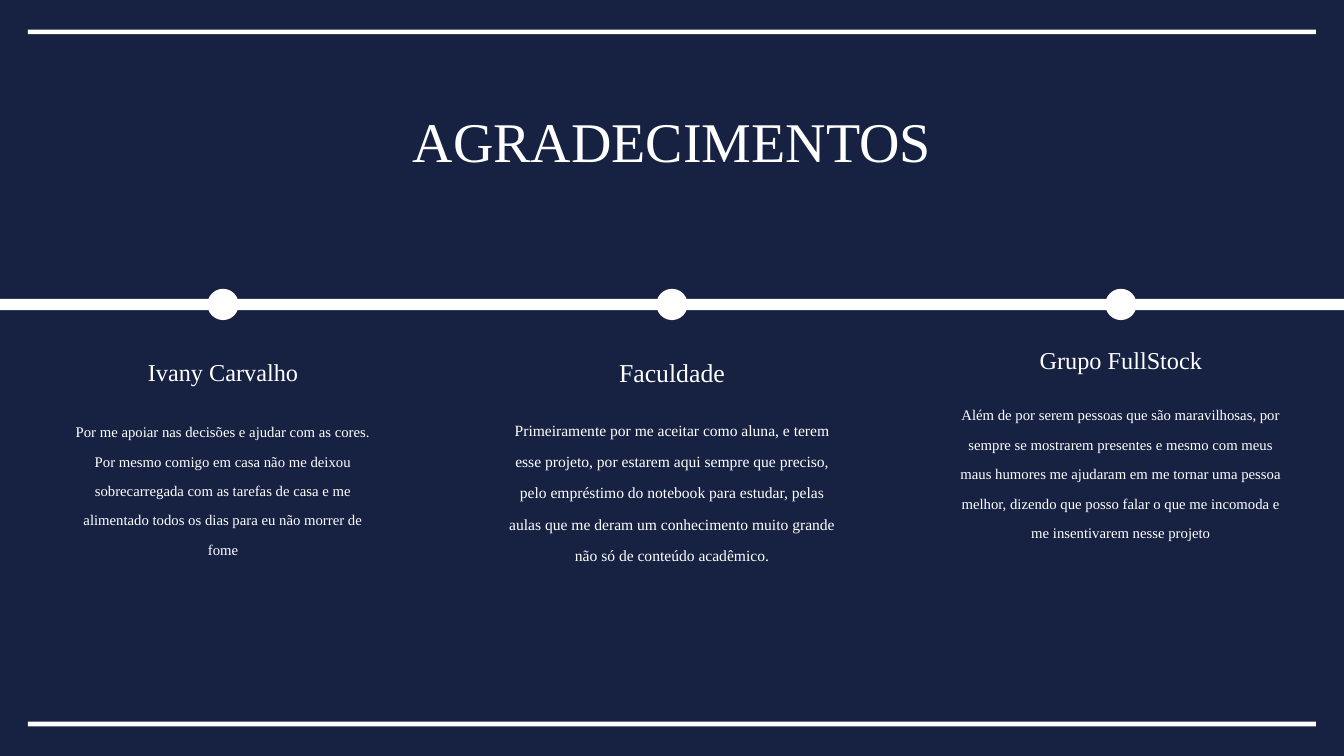
from pptx import Presentation
from pptx.dml.color import RGBColor
from pptx.enum.shapes import MSO_SHAPE
from pptx.enum.text import MSO_ANCHOR, MSO_AUTO_SIZE, PP_ALIGN
from pptx.util import Pt

NAVY, WHITE = "172243", "FFFFFF"
WIDTH, HEIGHT = 1440, 810
CENTER, COLUMN_STEP = WIDTH / 2, 481
TIMELINE_Y = 326.2
DOT_SIZE = 33.5
FRAME_FORMAT = {
    "margin_left": 0, "margin_top": 0, "margin_right": 0, "margin_bottom": 0,
    "word_wrap": True, "auto_size": MSO_AUTO_SIZE.NONE, "vertical_anchor": MSO_ANCHOR.TOP,
}

# width, then (text, top, height, size, line spacing) for heading and message
COLUMNS = [
    (316.8,
     ("Ivany Carvalho", 378, 33, 26, 36.4),
     ("Por me apoiar nas decisões e ajudar com as cores. Por mesmo comigo em casa "
      "não me deixou sobrecarregada com as tarefas de casa e me alimentado todos os "
      "dias para eu não morrer de fome", 440.6, 180, 15.8, 31.5)),
    (360,
     ("Faculdade", 377.3, 36, 27.6, 38.6),
     ("Primeiramente por me aceitar como aluna, e terem esse projeto, por estarem "
      "aqui sempre que preciso, pelo empréstimo do notebook para estudar, pelas aulas "
      "que me deram um conhecimento muito grande não só de conteúdo acadêmico.",
      437.8, 224, 16.7, 33.4)),
    (346.3,
     ("Grupo FullStock", 365, 33, 26, 36.4),
     ("Além de por serem pessoas que são maravilhosas, por sempre se mostrarem "
      "presentes e mesmo com meus maus humores me ajudaram em me tornar uma pessoa "
      "melhor, dizendo que posso falar o que me incomoda e me insentivarem nesse "
      "projeto", 422.6, 211, 15.8, 31.5)),
]


def color(value):
    return RGBColor.from_string(value)


def set_attributes(target, values):
    for name, value in values.items():
        setattr(target, name, value)


class SlideBuilder:
    """Holds the text style and the slide being filled."""

    font_name = "Times New Roman"
    foreground = WHITE

    def __init__(self, slide, background):
        self.slide = slide
        fill = slide.background.fill
        fill.solid()
        fill.fore_color.rgb = color(background)

    def shape(self, kind, left, top, width, height):
        shape = self.slide.shapes.add_shape(kind, Pt(left), Pt(top), Pt(width), Pt(height))
        shape.shadow.inherit = False
        shape.fill.solid()
        shape.fill.fore_color.rgb = color(self.foreground)
        shape.line.fill.background()

    def bar(self, left, top, width, height):
        self.shape(MSO_SHAPE.RECTANGLE, left, top, width, height)

    def dot(self, center_x, center_y, size):
        self.shape(MSO_SHAPE.OVAL, center_x - size / 2, center_y - size / 2, size, size)

    def fill_text(self, shape, text, size, line_spacing):
        frame = shape.text_frame
        set_attributes(frame, FRAME_FORMAT)
        frame.text = text
        paragraph = frame.paragraphs[0]
        set_attributes(paragraph, {
            "alignment": PP_ALIGN.CENTER, "line_spacing": Pt(line_spacing), "space_before": Pt(0)})
        font = paragraph.runs[0].font
        set_attributes(font, {"name": self.font_name, "size": Pt(size)})
        font.color.rgb = color(self.foreground)

    def title(self, text, left, top, width, height, size, line_spacing):
        title = self.slide.shapes.title
        set_attributes(title, {
            "left": Pt(left), "top": Pt(top), "width": Pt(width), "height": Pt(height)})
        self.fill_text(title, text, size, line_spacing)

    def centered_text(self, center_x, width, text, top, height, size, line_spacing):
        box = self.slide.shapes.add_textbox(
            Pt(center_x - width / 2), Pt(top), Pt(width), Pt(height))
        self.fill_text(box, text, size, line_spacing)


def main():
    presentation = Presentation()
    set_attributes(presentation, {"slide_width": Pt(WIDTH), "slide_height": Pt(HEIGHT)})
    slide = presentation.slides.add_slide(presentation.slide_layouts[5])
    builder = SlideBuilder(slide, NAVY)

    for top in (31.7, 773.3):
        builder.bar(30, top, WIDTH - 60, 5)
    builder.bar(-28, TIMELINE_Y - 6, WIDTH + 56, 12)

    for index, (width, heading, message) in enumerate(COLUMNS):
        center_x = CENTER + (index - 1) * COLUMN_STEP
        builder.dot(center_x, TIMELINE_Y, DOT_SIZE)
        for text_format in (heading, message):
            builder.centered_text(center_x, width, *text_format)

    builder.title("AGRADECIMENTOS", 217.5, 113.8, 1005, 71.3, 60, 72)
    presentation.save("out.pptx")


if __name__ == "__main__":
    main()
